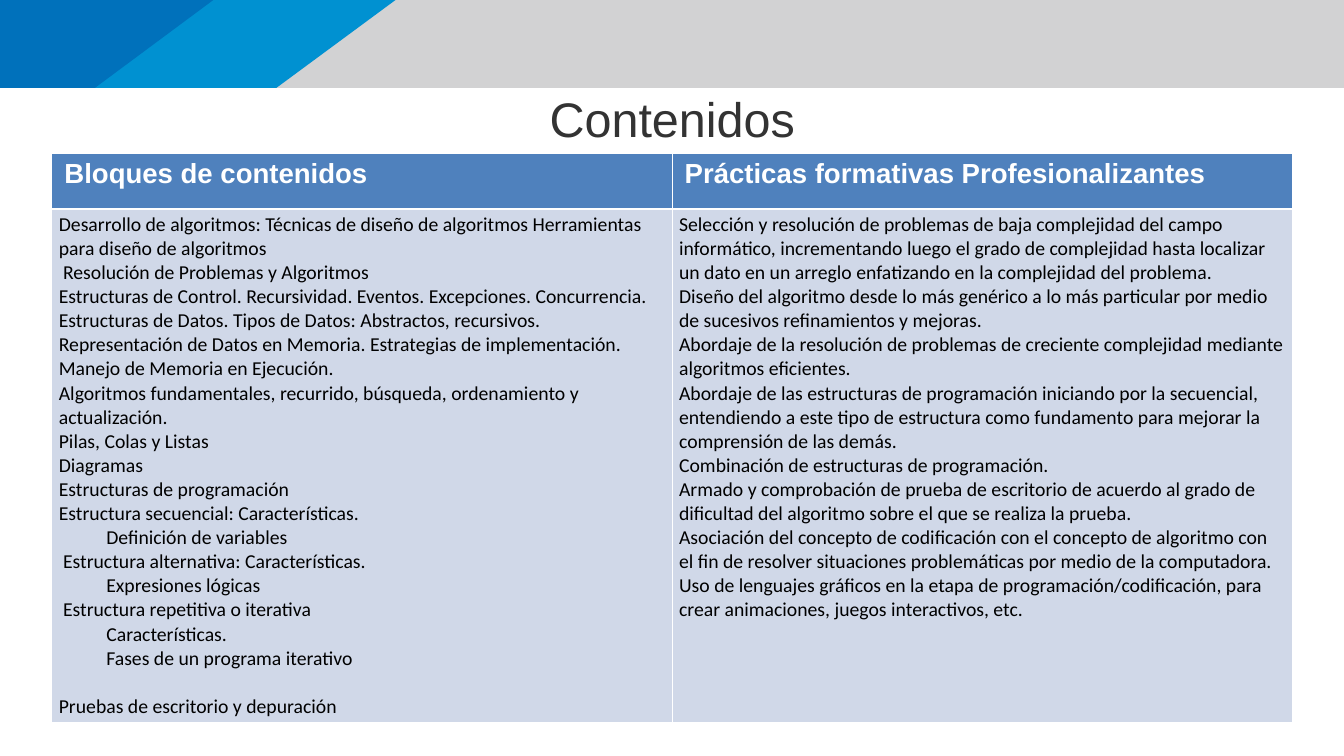
from lxml.etree import SubElement
from pptx import Presentation
from pptx.dml.color import RGBColor
from pptx.enum.shapes import MSO_SHAPE
from pptx.enum.text import MSO_ANCHOR, PP_ALIGN
from pptx.oxml.ns import qn
from pptx.util import Inches, Pt

TITLE = "Contenidos"
HEADINGS = ["Bloques de contenidos", "Prácticas formativas Profesionalizantes"]

# Each line of a column: (indent style, text)
BLOCKS = [
    ("plain", "Desarrollo de algoritmos: Técnicas de diseño de algoritmos Herramientas para diseño de algoritmos"),
    ("nudged", "Resolución de Problemas y Algoritmos"),
    ("plain", "Estructuras de Control. Recursividad. Eventos. Excepciones. Concurrencia."),
    ("plain", "Estructuras de Datos. Tipos de Datos: Abstractos, recursivos. Representación de Datos en Memoria. "
              "Estrategias de implementación. Manejo de Memoria en Ejecución."),
    ("plain", "Algoritmos fundamentales, recurrido, búsqueda, ordenamiento y actualización."),
    ("plain", "Pilas, Colas y Listas"),
    ("plain", "Diagramas"),
    ("plain", "Estructuras de programación"),
    ("plain", "Estructura secuencial: Características."),
    ("nested", "Definición de variables"),
    ("nudged", "Estructura alternativa: Características."),
    ("nested", "Expresiones lógicas"),
    ("nudged", "Estructura repetitiva o iterativa"),
    ("nested", "Características."),
    ("nested", "Fases de un programa iterativo"),
    ("separate", "Pruebas de escritorio y depuración"),
]
PRACTICES = [("plain", text) for text in (
    "Selección y resolución de problemas de baja complejidad del campo informático, incrementando luego el grado "
    "de complejidad hasta localizar un dato en un arreglo enfatizando en la complejidad del problema.",
    "Diseño del algoritmo desde lo más genérico a lo más particular por medio de sucesivos refinamientos y mejoras.",
    "Abordaje de la resolución de problemas de creciente complejidad mediante algoritmos eficientes.",
    "Abordaje de las estructuras de programación iniciando por la secuencial, entendiendo a este tipo de "
    "estructura como fundamento para mejorar la comprensión de las demás.",
    "Combinación de estructuras de programación.",
    "Armado y comprobación de prueba de escritorio de acuerdo al grado de dificultad del algoritmo sobre el que "
    "se realiza la prueba.",
    "Asociación del concepto de codificación con el concepto de algoritmo con el fin de resolver situaciones "
    "problemáticas por medio de la computadora.",
    "Uso de lenguajes gráficos en la etapa de programación/codificación, para crear animaciones, juegos "
    "interactivos, etc.",
)]

THEME = {
    "band": "D2D2D3", "light_blue": "0091D1", "dark_blue": "0071BB",
    "header_fill": "4F81BD", "body_fill": "D0D8E8", "border": "FFFFFF",
    "title": {"name": "Arial", "size": Pt(49.3), "bold": False, "color": "333333"},
    "header": {"name": "Arial", "size": Pt(28), "bold": True, "color": "FFFFFF"},
    "body": {"name": "Calibri", "size": Pt(20), "bold": False, "color": "000000"},
}
INDENTS = {"nudged": 0.06, "nested": 0.67, "heading": 0.11}
SECTION_GAP = Pt(24.4)

SLIDE_WIDTH, SLIDE_HEIGHT = 18.96, 10.67
BAND_HEIGHT = 1.24
# Colour, top edge, bottom edge of each slanted panel
PANELS = [("light_blue", 5.58, 3.9), ("dark_blue", 3.01, 1.34)]
TITLE_BOX = (6.07, 1.25, 6.83, 0.83)
TABLE_LEFT, TABLE_TOP = 0.73, 2.17
COLUMN_WIDTH, ROW_HEIGHTS = 8.75, (0.78, 7.24)
HEADER_MARGINS = {"margin_left": Inches(0.07), "margin_right": Inches(0.07), "margin_top": 0, "margin_bottom": 0}


def paint(shape, color):
    shape.shadow.inherit = False
    shape.fill.solid()
    shape.fill.fore_color.rgb = RGBColor.from_string(THEME[color])
    shape.line.fill.background()


def write(paragraph, text, style):
    paragraph.text = text
    for name, value in THEME[style].items():
        if name == "color":
            paragraph.font.color.rgb = RGBColor.from_string(value)
        else:
            setattr(paragraph.font, name, value)


def indent(paragraph, style):
    if style == "nested":
        paragraph.level = 1
    elif style == "separate":
        paragraph.space_before = SECTION_GAP
    if style in INDENTS:
        properties = paragraph._p.get_or_add_pPr()
        properties.set("marL", str(Inches(INDENTS[style])))
        properties.set("indent", "0")


def format_cell(cell, fill, bottom_width):
    """Add the cell borders, then the fill, in the order the file format requires."""
    properties = cell._tc.get_or_add_tcPr()
    for tag, width in (("a:lnL", 1), ("a:lnR", 1), ("a:lnT", 1), ("a:lnB", bottom_width)):
        line = SubElement(properties, qn(tag), w=str(Pt(width)))
        solid = SubElement(line, qn("a:solidFill"))
        SubElement(solid, qn("a:srgbClr"), val=THEME["border"])
    cell.fill.solid()
    cell.fill.fore_color.rgb = RGBColor.from_string(THEME[fill])


def add_banner(slide):
    band = slide.shapes.add_shape(MSO_SHAPE.RECTANGLE, 0, 0, Inches(SLIDE_WIDTH), Inches(BAND_HEIGHT))
    paint(band, "band")
    height = Inches(BAND_HEIGHT)
    for color, top_edge, bottom_edge in PANELS:
        builder = slide.shapes.build_freeform(0, 0)
        builder.add_line_segments([(Inches(top_edge), 0), (Inches(bottom_edge), height), (0, height)], close=True)
        paint(builder.convert_to_shape(), color)


def add_title(slide):
    frame = slide.shapes.add_textbox(*map(Inches, TITLE_BOX)).text_frame
    frame.word_wrap = True
    frame.vertical_anchor = MSO_ANCHOR.BOTTOM
    for side in ("left", "right", "top", "bottom"):
        setattr(frame, f"margin_{side}", 0)
    write(frame.paragraphs[0], TITLE, "title")
    frame.paragraphs[0].alignment = PP_ALIGN.CENTER


def add_contents_table(slide):
    table = slide.shapes.add_table(
        len(ROW_HEIGHTS), len(HEADINGS), Inches(TABLE_LEFT), Inches(TABLE_TOP),
        Inches(COLUMN_WIDTH * len(HEADINGS)), Inches(sum(ROW_HEIGHTS))).table
    for row, height in zip(table.rows, ROW_HEIGHTS):
        row.height = Inches(height)
    for index, (heading, lines) in enumerate(zip(HEADINGS, (BLOCKS, PRACTICES))):
        table.columns[index].width = Inches(COLUMN_WIDTH)
        header, body = table.cell(0, index), table.cell(1, index)
        format_cell(header, "header_fill", 3)
        format_cell(body, "body_fill", 1)
        for name, value in HEADER_MARGINS.items():
            setattr(header, name, value)
        paragraph = header.text_frame.paragraphs[0]
        indent(paragraph, "heading")
        paragraph.line_spacing = 1.15
        write(paragraph, heading, "header")
        for number, (style, text) in enumerate(lines):
            frame = body.text_frame
            paragraph = frame.add_paragraph() if number else frame.paragraphs[0]
            indent(paragraph, style)
            write(paragraph, text, "body")


def main():
    presentation = Presentation()
    presentation.slide_width = Inches(SLIDE_WIDTH)
    presentation.slide_height = Inches(SLIDE_HEIGHT)
    slide = presentation.slides.add_slide(presentation.slide_layouts[6])
    add_banner(slide)
    add_title(slide)
    add_contents_table(slide)
    presentation.save("out.pptx")


if __name__ == "__main__":
    main()
